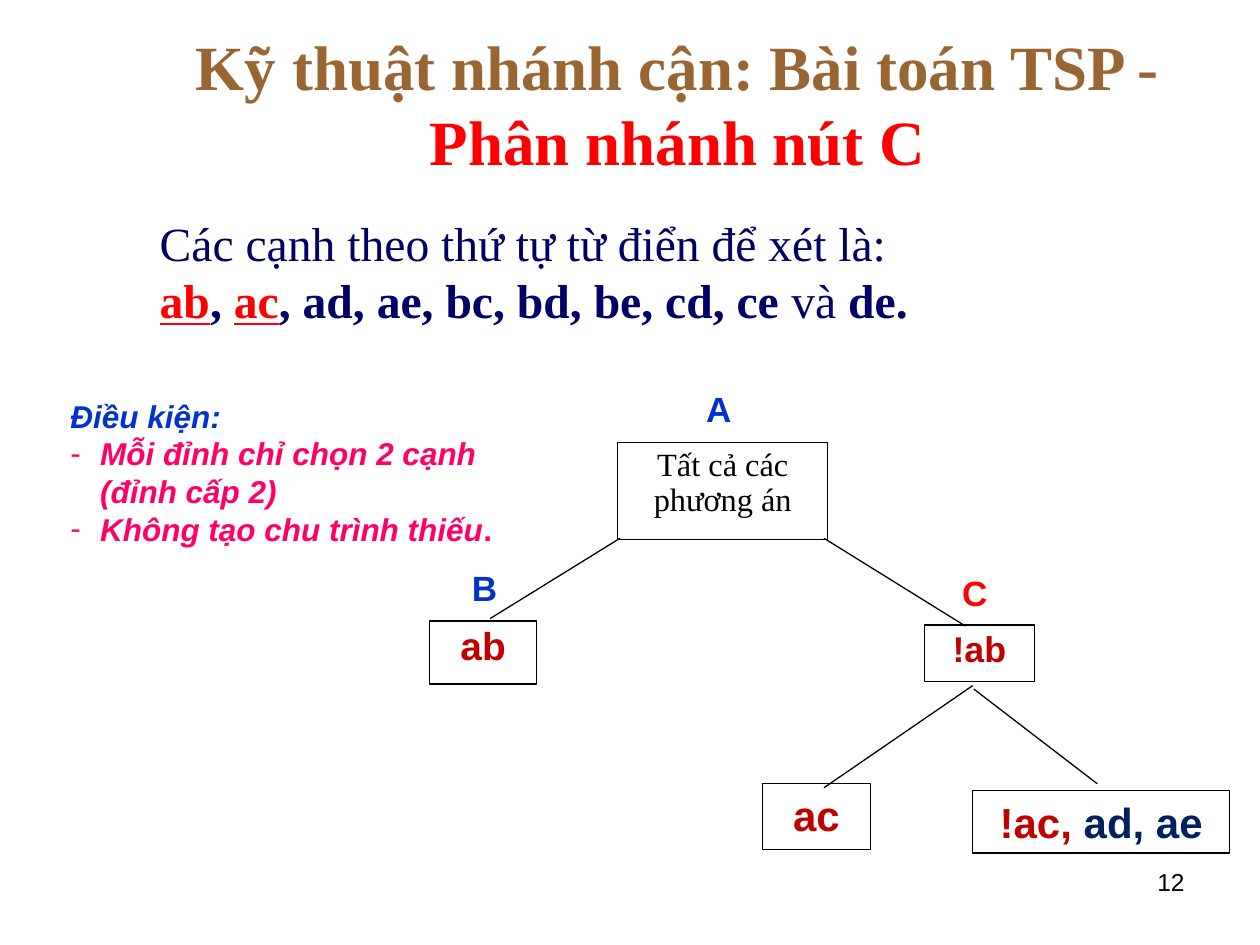
from lxml import etree
from pptx import Presentation
from pptx.dml.color import RGBColor
from pptx.enum.shapes import MSO_CONNECTOR, MSO_SHAPE
from pptx.enum.text import MSO_ANCHOR, PP_ALIGN
from pptx.oxml.ns import qn
from pptx.util import Cm, Pt

LEFT, CENTER, RIGHT = PP_ALIGN.LEFT, PP_ALIGN.CENTER, PP_ALIGN.RIGHT
TOP, MIDDLE = MSO_ANCHOR.TOP, MSO_ANCHOR.MIDDLE
RECTANGLE, STRAIGHT = MSO_SHAPE.RECTANGLE, MSO_CONNECTOR.STRAIGHT

BLACK = RGBColor(0x00, 0x00, 0x00)
BROWN = RGBColor(0x99, 0x66, 0x33)
RED = RGBColor(0xFF, 0x00, 0x00)
DARK_RED = RGBColor(0xC0, 0x00, 0x00)
NAVY = RGBColor(0x00, 0x00, 0x66)
DARK_BLUE = RGBColor(0x00, 0x20, 0x60)
BLUE = RGBColor(0x00, 0x33, 0xCC)
PINK = RGBColor(0xFF, 0x00, 0x66)

SERIF, SANS = "Times New Roman", "Arial"
BREAK = "\n"

# Content: each run is (text, colour, styles), styles being letters of b, i, u
TITLE = [("Kỹ thuật nhánh cận: Bài toán TSP - ", BROWN, "b"),
         ("Phân nhánh nút C", RED, "b")]
EDGES = [("Các cạnh theo thứ tự từ điển để xét là:", NAVY, ""),
         (BREAK, NAVY, ""),
         ("ab", RED, "bu"), (", ", NAVY, "b"), ("ac", RED, "bu"),
         (", ad, ae, bc, bd, be, cd, ce ", NAVY, "b"),
         ("và", NAVY, ""), (" de.", NAVY, "b")]
CONDITION_HEAD = [("Ðiều kiện:", BLUE, "bi")]
CONDITIONS = [
    [("Mỗi đỉnh chỉ chọn 2 cạnh (đỉnh cấp 2)", PINK, "bi")],
    [("Không tạo chu trình thiếu", PINK, "bi"), (".", PINK, "b")],
]
PAGE_NUMBER = [("12", BLACK, "")]

# Tree nodes: box in cm, runs, font, size, line spacing
NODES = [
    ((12.45, 8.92, 4.24, 1.96), [("Tất cả các phương án", BLACK, "")], SERIF, 18.5, 0.9),
    ((8.66, 12.52, 2.16, 1.27), [("ab", DARK_RED, "b")], SANS, 22.2, 0.9),
    ((18.64, 12.6, 2.21, 1.14), [("!ab", DARK_RED, "b")], SANS, 20.4, 0.9),
    ((19.61, 15.93, 5.18, 1.27),
     [("!ac, ", DARK_RED, "b"), ("ad, ae", DARK_BLUE, "b")], SANS, 24, 1),
    ((15.37, 15.8, 2.18, 1.32), [("ac", DARK_RED, "b")], SANS, 24, 1),
]
NODE_LETTERS = [("A", BLUE, 14.02, 7.82), ("B", BLUE, 9.3, 11.43), ("C", RED, 19.18, 11.53)]
LETTER_SIZE = (0.94, 1.04)
BRANCHES = [(12.5, 10.85, 9.88, 12.47), (16.61, 10.85, 19.46, 12.62),
            (19.61, 13.82, 16.61, 15.88), (19.63, 13.89, 22.12, 15.8)]


def cm(values):
    return [Cm(value) for value in values]


def fill_paragraph(paragraph, runs, font, size, align=LEFT, spacing=1):
    paragraph.alignment = align
    paragraph.line_spacing = spacing
    for text, color, styles in runs:
        if text == BREAK:
            paragraph.add_line_break()
            continue
        run = paragraph.add_run()
        run.text = text
        run.font.name = font
        run.font.size = Pt(size)
        run.font.color.rgb = color
        run.font.bold = "b" in styles
        run.font.italic = "i" in styles
        run.font.underline = "u" in styles


def add_text(slide, box, runs, font, size, align=LEFT, anchor=TOP, inset=True):
    frame = slide.shapes.add_textbox(*cm(box)).text_frame
    frame.word_wrap = True
    frame.vertical_anchor = anchor
    if not inset:
        frame.margin_left = frame.margin_right = 0
        frame.margin_top = frame.margin_bottom = 0
    fill_paragraph(frame.paragraphs[0], runs, font, size, align)
    return frame


def indent(paragraph, left, first=0):
    properties = paragraph._p.get_or_add_pPr()
    properties.set("marL", str(Cm(left)))
    properties.set("indent", str(Cm(first)))
    return properties


def add_dash(paragraph, color):
    properties = indent(paragraph, 0.6, -0.6)
    bullet_color = etree.SubElement(properties, qn("a:buClr"))
    etree.SubElement(bullet_color, qn("a:srgbClr")).set("val", str(color))
    etree.SubElement(properties, qn("a:buFont")).set("typeface", SANS)
    etree.SubElement(properties, qn("a:buChar")).set("char", "-")


def add_node(slide, box, runs, font, size, spacing):
    node = slide.shapes.add_shape(RECTANGLE, *cm(box))
    node.shadow.inherit = False
    node.fill.background()
    node.line.color.rgb = BLACK
    node.line.width = Pt(0.75)
    node.text_frame.word_wrap = True
    node.text_frame.vertical_anchor = TOP
    fill_paragraph(node.text_frame.paragraphs[0], runs, font, size, CENTER, spacing)


def add_branch(slide, ends):
    branch = slide.shapes.add_connector(STRAIGHT, *cm(ends))
    branch.line.color.rgb = BLACK
    branch.line.width = Pt(0.75)
    etree.SubElement(branch._element.spPr, qn("a:effectLst"))


def main():
    deck = Presentation()
    deck.slide_width, deck.slide_height = Cm(25.4), Cm(19.05)
    slide = deck.slides.add_slide(deck.slide_layouts[6])

    # Title and the ordered edges
    add_text(slide, (3.18, 0.76, 20.96, 2.62), TITLE, SERIF, 36, CENTER, MIDDLE)
    edges = add_text(slide, (2.01, 4.19, 22.23, 2.57), EDGES, SERIF, 27.2)
    indent(edges.paragraphs[0], 0.96)

    # Branching tree
    for node in NODES:
        add_node(slide, *node)
    for letter, color, left, top in NODE_LETTERS:
        add_text(slide, (left, top, *LETTER_SIZE), [(letter, color, "b")], SANS, 20,
                 CENTER, inset=False)
    for ends in BRANCHES:
        add_branch(slide, ends)

    # Conditions
    conditions = add_text(slide, (1.17, 7.87, 10.21, 3.3), CONDITION_HEAD, SANS, 18)
    for runs in CONDITIONS:
        paragraph = conditions.add_paragraph()
        fill_paragraph(paragraph, runs, SANS, 18)
        add_dash(paragraph, PINK)

    # Page number
    add_text(slide, (18.21, 17.35, 5.92, 1.32), PAGE_NUMBER, SANS, 14, RIGHT)

    deck.save("out.pptx")


if __name__ == "__main__":
    main()
